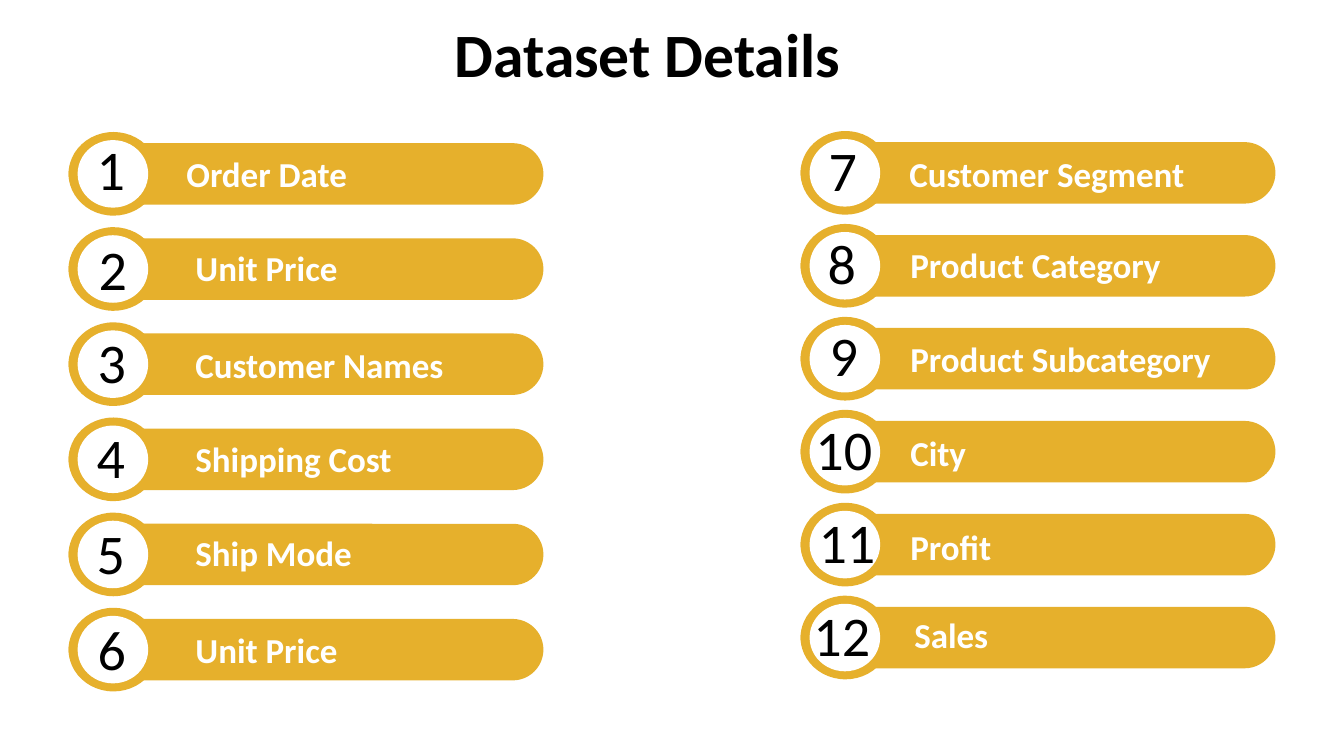
from pptx import Presentation
from pptx.dml.color import RGBColor
from pptx.enum.shapes import MSO_SHAPE as SHAPE
from pptx.util import Inches, Pt

COLORS = {"gold": "E6B02C", "white": "FFFFFF", "black": "000000"}

# Each field: label, number left and top, label left and top
COLUMNS = [
    (0.68, 1.31, 6.03, [
        ("Order Date", 0.86, 1.29, 1.75, 1.46),
        ("Unit Price", 0.88, 2.28, 1.84, 2.4),
        ("Customer Names", 0.87, 3.2, 1.84, 3.36),
        ("Shipping Cost", 0.86, 4.14, 1.84, 4.29),
        ("Ship Mode", 0.86, 5.1, 1.84, 5.22),
        ("Unit Price", 0.87, 6.05, 1.84, 6.19),
    ]),
    (7.94, 1.3, 5.91, [
        ("Customer Segment", 8.12, 1.3, 8.92, 1.46),
        ("Product Category", 8.11, 2.22, 8.93, 2.37),
        ("Product Subcategory", 8.13, 3.13, 8.93, 3.3),
        ("City", 7.99, 4.06, 8.93, 4.23),
        ("Profit", 8.02, 4.99, 8.93, 5.16),
        ("Sales", 7.97, 5.91, 8.97, 6.04),
    ]),
]

prs = Presentation()
prs.slide_width = Inches(13.33)
prs.slide_height = Inches(7.5)
s = prs.slides.add_slide(prs.slide_layouts[6])


def add_filled(group, kind, left, top, width, height, color):
    sp = group.shapes.add_shape(kind, Inches(left), Inches(top), Inches(width), Inches(height))
    sp.shadow.inherit = False
    sp.fill.solid()
    sp.fill.fore_color.rgb = RGBColor.from_string(COLORS[color])
    sp.line.fill.background()
    return sp


def add_text(text, left, top, width, height, size, color, bold=False):
    box = s.shapes.add_textbox(Inches(left), Inches(top), Inches(width), Inches(height))
    tf = box.text_frame
    tf.word_wrap = True
    p = tf.paragraphs[0]
    p.text = text
    p.font.name = "Calibri"
    p.font.size = Pt(size)
    p.font.bold = bold
    p.font.color.rgb = RGBColor.from_string(COLORS[color])


number = 0
for left, first_top, last_top, fields in COLUMNS:
    pitch = (last_top - first_top) / (len(fields) - 1)
    for row, (label, number_left, number_top, label_left, label_top) in enumerate(fields):
        number += 1
        top = first_top + row * pitch
        group = s.shapes.add_group_shape()
        bar = add_filled(group, SHAPE.ROUNDED_RECTANGLE, left, top + 0.11, 4.71, 0.61, "gold")
        bar.adjustments[0] = 0.5
        add_filled(group, SHAPE.OVAL, left, top, 0.89, 0.83, "gold")
        add_filled(group, SHAPE.OVAL, left + 0.09, top + 0.08, 0.7, 0.67, "white")
        number_width = 0.53 if number < 10 else 1.03
        add_text(str(number), number_left, number_top, number_width, 0.77, 40, "black")
        add_text(label, label_left, label_top, 3.55, 0.52, 25, "white", bold=True)

add_text("Dataset Details", 4.41, 0.11, 5.12, 1.14, 44, "black", bold=True)

prs.save("out.pptx")
